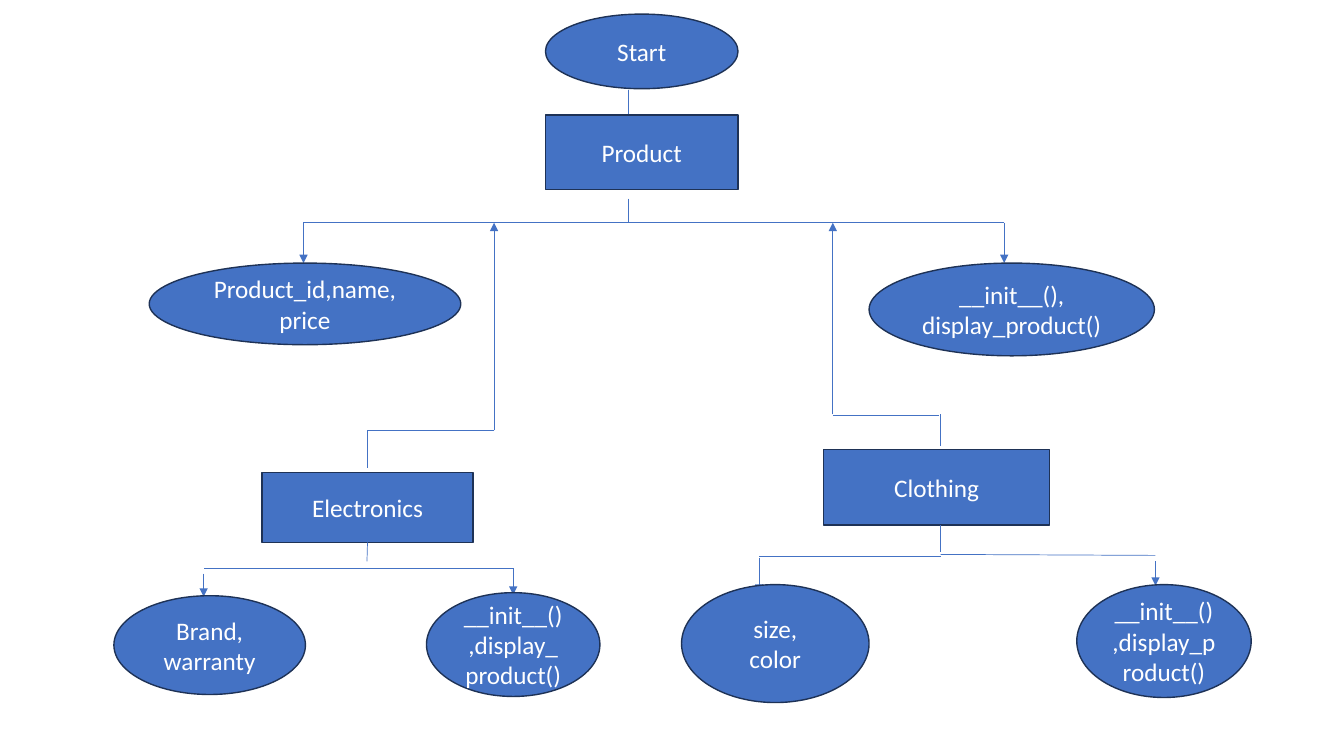
from lxml import etree
from pptx import Presentation
from pptx.dml.color import RGBColor
from pptx.enum.shapes import MSO_CONNECTOR, MSO_SHAPE
from pptx.enum.text import MSO_ANCHOR, PP_ALIGN
from pptx.oxml.ns import qn
from pptx.util import Inches, Pt

OVAL, RECT = MSO_SHAPE.OVAL, MSO_SHAPE.RECTANGLE
STRAIGHT = MSO_CONNECTOR.STRAIGHT
CENTER, MIDDLE = PP_ALIGN.CENTER, MSO_ANCHOR.MIDDLE
BOTTOM = 2
COLORS = {"fill": "4472C4", "edge": "1E3256", "text": "FFFFFF"}


def color(name):
    return RGBColor.from_string(COLORS[name])


def add_node(slide, box, kind, text, left, top, width, height):
    x, y = box
    node = slide.shapes.add_shape(kind, Inches(x + left), Inches(y + top),
                                  Inches(width), Inches(height))
    node.shadow.inherit = False
    node.fill.solid()
    node.fill.fore_color.rgb = color("fill")
    node.line.color.rgb = color("edge")
    node.line.width = Pt(1)
    frame = node.text_frame
    frame.word_wrap = True
    frame.vertical_anchor = MIDDLE
    frame.text = text
    for para in frame.paragraphs:
        para.alignment = CENTER
        para.font.name = "Calibri"
        para.font.size = Pt(18)
        para.font.color.rgb = color("text")
    return node


def add_line(slide, box, start, end, arrow=False):
    x, y = box
    line = slide.shapes.add_connector(
        STRAIGHT, Inches(x + start[0]), Inches(y + start[1]),
        Inches(x + end[0]), Inches(y + end[1]))
    line.line.color.rgb = color("fill")
    line.line.width = Pt(0.5)
    if arrow:
        etree.SubElement(line.line._get_or_add_ln(), qn("a:tailEnd"), type="triangle")
    etree.SubElement(line._element.spPr, qn("a:effectLst"))
    return line


def add_product(slide, box):
    stem, bar, left, right = 4.75, 2.07, 1.53, 8.48
    add_line(slide, box, (stem, 0.75), (stem, 1.06))
    add_line(slide, box, (stem, 1.83), (stem, bar))
    add_line(slide, box, (right, bar), (left, bar))
    for x in (left, right):
        add_line(slide, box, (x, bar), (x, 2.47), True)
    add_node(slide, box, OVAL, "Start", 3.93, 0, 1.91, 0.74)
    add_node(slide, box, RECT, "Product", 3.93, 1, 1.91, 0.74)
    add_node(slide, box, OVAL, "Product_id,name,\nprice", 0, 2.47, 3.09, 0.81)
    add_node(slide, box, OVAL, "__init__(),\ndisplay_product()", 7.14, 2.47, 2.83, 0.92)


def add_gadgets(slide, box):
    stem, rise, bar, left, right = 2.51, 3.77, 3.43, 0.89, 3.96
    add_line(slide, box, (rise, 2.06), (rise, 0), True)
    add_line(slide, box, (rise, 2.06), (stem, 2.06))
    add_line(slide, box, (stem, 2.06), (stem, 2.43))
    head = add_node(slide, box, RECT, "Electronics", 1.47, 2.48, 2.09, 0.69)
    drop = add_line(slide, box, (stem, 3.17), (stem, 3.36))
    drop.begin_connect(head, BOTTOM)
    add_line(slide, box, (right, bar), (left, bar))
    add_line(slide, box, (left, 3.48), (left, 3.71), True)
    add_line(slide, box, (right, bar), (right, 3.69), True)
    add_node(slide, box, OVAL, "Brand,\nwarranty", 0, 3.7, 1.9, 0.98)
    add_node(slide, box, OVAL, "__init__(),display_product()", 3.1, 3.67, 1.72, 1.03)


def add_clothing(slide, box):
    stem, rise, left, right = 2.57, 1.5, 0.77, 4.7
    add_line(slide, box, (rise, 1.9), (rise, 0), True)
    add_line(slide, box, (rise, 1.91), (2.55, 1.91))
    add_line(slide, box, (stem, 1.9), (stem, 2.21))
    add_node(slide, box, RECT, "Clothing", 1.41, 2.25, 2.24, 0.75)
    add_line(slide, box, (stem, 3), (stem, 3.27))
    add_line(slide, box, (stem, 3.31), (left, 3.31))
    add_line(slide, box, (stem, 3.29), (right, 3.3))
    add_line(slide, box, (left, 3.33), (left, 3.67), True)
    add_line(slide, box, (right, 3.36), (right, 3.6), True)
    add_node(slide, box, OVAL, "__init__(),display_product()", 3.92, 3.59, 1.73, 1.12)
    add_node(slide, box, OVAL, "size,\ncolor", 0, 3.59, 1.86, 1.17)


def main():
    deck = Presentation()
    deck.slide_width, deck.slide_height = Inches(13.33), Inches(7.5)
    slide = deck.slides.add_slide(deck.slide_layouts[6])
    add_product(slide, (1.48, 0.14))
    add_gadgets(slide, (1.13, 2.21))
    add_clothing(slide, (6.76, 2.21))
    deck.save("out.pptx")


if __name__ == "__main__":
    main()
